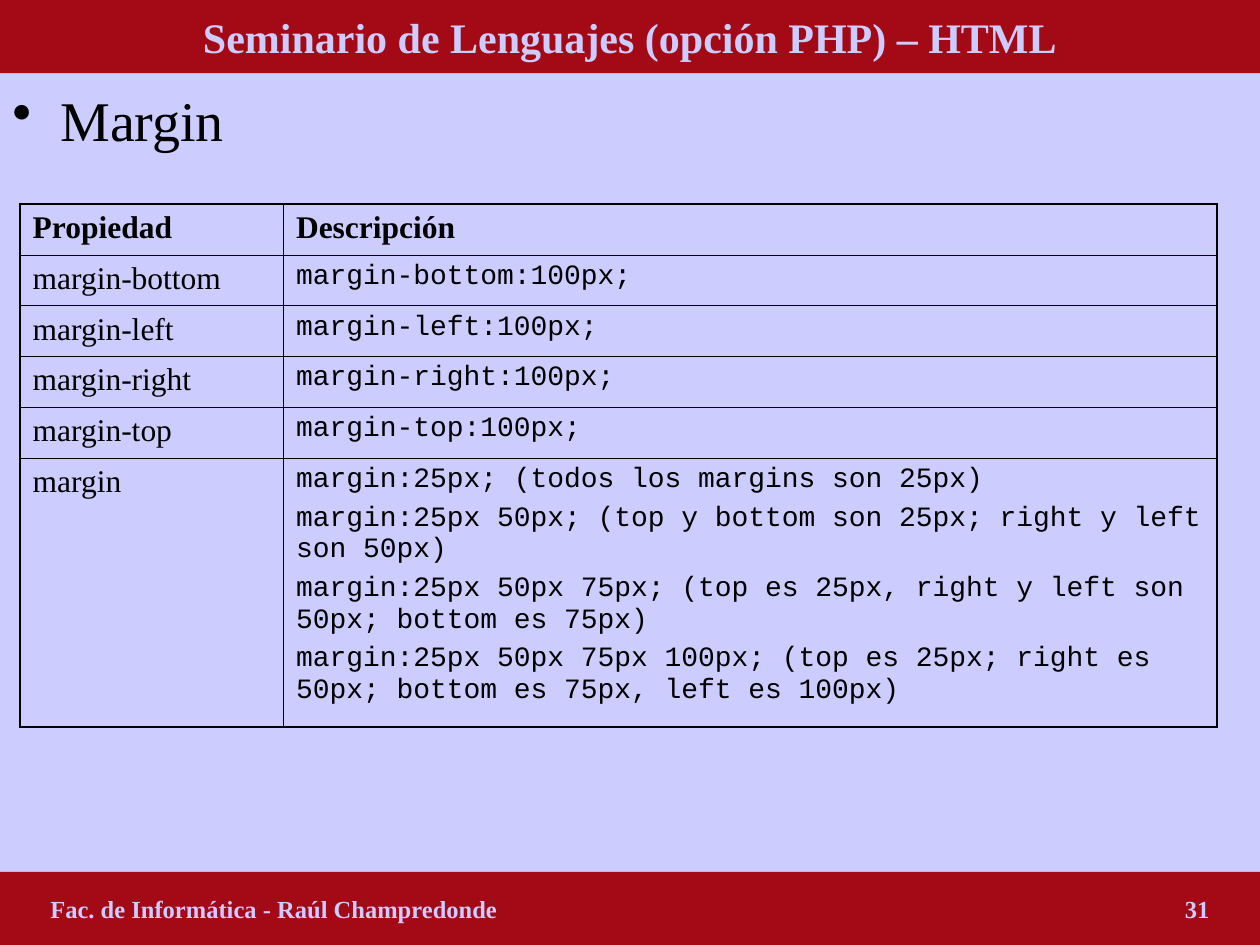
from lxml import etree
from pptx import Presentation, util as u
from pptx.dml.color import RGBColor
from pptx.enum import shapes, text
from pptx.oxml.ns import qn

COLORS = {"bg": "CCCCFF", "band": "A30A16", "ink": "000000"}
SERIF, MONO = "Times New Roman", "Courier New"
THIN, THICK = u.Pt(0.45), u.Pt(1.08)

ROWS = [
    ("Propiedad", ["Descripción"]),
    *[(f"margin-{side}", [f"margin-{side}:100px;"])
      for side in ("bottom", "left", "right", "top")],
    ("margin", [
        "margin:25px; (todos los margins son 25px)",
        "margin:25px 50px; (top y bottom son 25px; right y left son 50px)",
        "margin:25px 50px 75px; (top es 25px, right y left son 50px; bottom es 75px)",
        "margin:25px 50px 75px 100px; (top es 25px; right es 50px; "
        "bottom es 75px, left es 100px)",
    ]),
]


def rgb(name):
    return RGBColor.from_string(COLORS[name])


def add_run(p, content, size, color="ink", font=SERIF, bold=False):
    r = p.add_run()
    r.text = content
    r.font.size = u.Pt(size)
    r.font.name = font
    r.font.bold = bold
    r.font.color.rgb = rgb(color)


def add_band(s, left, top, width, height):
    """Full-width coloured bar; returns its shape."""
    sp = s.shapes.add_shape(shapes.MSO_SHAPE.RECTANGLE, left, top, width, height)
    sp.shadow.inherit = False
    sp.fill.solid()
    sp.fill.fore_color.rgb = rgb("band")
    sp.line.fill.background()
    sp.text_frame.vertical_anchor = text.MSO_ANCHOR.MIDDLE
    return sp


def add_header(s, left, top, width, height):
    p = add_band(s, left, top, width, height).text_frame.paragraphs[0]
    p.alignment = text.PP_ALIGN.CENTER
    add_run(p, "Seminario de Lenguajes (opción PHP) – HTML", 24, "bg", bold=True)


def add_footer(s, left, top, width, height):
    tf = add_band(s, left, top, width, height).text_frame
    margin = u.Inches(0.4)
    tf.margin_left = margin
    p = tf.paragraphs[0]
    p.alignment = text.PP_ALIGN.LEFT
    # Right tab puts the page number at the far margin
    tabs = etree.SubElement(p._p.get_or_add_pPr(), qn("a:tabLst"))
    etree.SubElement(tabs, qn("a:tab"), pos=str(width - 2 * margin), algn="r")
    add_run(p, "Fac. de Informática - Raúl Champredonde\t31", 14, "bg", bold=True)


def add_bullet_body(s, left, top, width, height):
    tf = s.shapes.add_textbox(left, top, width, height).text_frame
    tf.word_wrap = True
    p = tf.paragraphs[0]
    pPr = p._p.get_or_add_pPr()
    indent = u.Inches(0.38)
    pPr.set("marL", str(indent))
    pPr.set("indent", str(-indent))
    etree.SubElement(pPr, qn("a:buChar"), char="•")
    add_run(p, "Margin", 32)


def set_borders(cell, **widths):
    tcPr = cell._tc.get_or_add_tcPr()
    for i, side in enumerate(("L", "R", "T", "B")):
        ln = etree.Element(qn(f"a:ln{side}"), w=str(widths[side]))
        fill = etree.SubElement(ln, qn("a:solidFill"))
        etree.SubElement(fill, qn("a:srgbClr"), val=COLORS["ink"])
        tcPr.insert(i, ln)


def fill_cell(cell, lines, size, font, bold):
    cell.fill.background()
    cell.margin_left = cell.margin_right = u.Inches(0.1)
    cell.margin_top = cell.margin_bottom = u.Inches(0.05)
    tf = cell.text_frame
    for i, line in enumerate(lines):
        p = tf.add_paragraph() if i else tf.paragraphs[0]
        if i:
            p.space_before = u.Pt(4)
        add_run(p, line, size, font=font, bold=bold)


def add_property_table(s, left, top, width, height):
    last = len(ROWS) - 1
    table = s.shapes.add_table(len(ROWS), 2, left, top, width, height).table
    table.first_row = table.horz_banding = False
    name_width, row_height = u.Inches(2.09), u.Inches(0.403)
    table.columns[0].width = name_width
    table.columns[1].width = width - name_width
    for i, (name, lines) in enumerate(ROWS):
        table.rows[i].height = row_height if i < last else height - last * row_height
        for j, content in enumerate(([name], lines)):
            cell = table.cell(i, j)
            code = i > 0 and j == 1
            fill_cell(cell, content, 16 if code else 18,
                      MONO if code else SERIF, i == 0)
            # Outer edges are heavier than inner rules
            set_borders(cell, L=THIN if j else THICK, R=THICK if j else THIN,
                        T=THIN if i else THICK, B=THICK if i == last else THIN)


def main():
    prs = Presentation()
    prs.slide_width, prs.slide_height = u.Inches(10), u.Inches(7.5)
    s = prs.slides.add_slide(prs.slide_layouts[6])
    s.background.fill.solid()
    s.background.fill.fore_color.rgb = rgb("bg")

    band = u.Inches(0.58)
    add_bullet_body(s, 0, u.Inches(0.63), prs.slide_width, u.Inches(6.28))
    add_header(s, 0, 0, prs.slide_width, band)
    add_footer(s, 0, prs.slide_height - band, prs.slide_width, band)
    add_property_table(s, u.Inches(0.16), u.Inches(1.62), u.Inches(9.5), u.Inches(4.15))
    prs.save("out.pptx")


if __name__ == "__main__":
    main()
